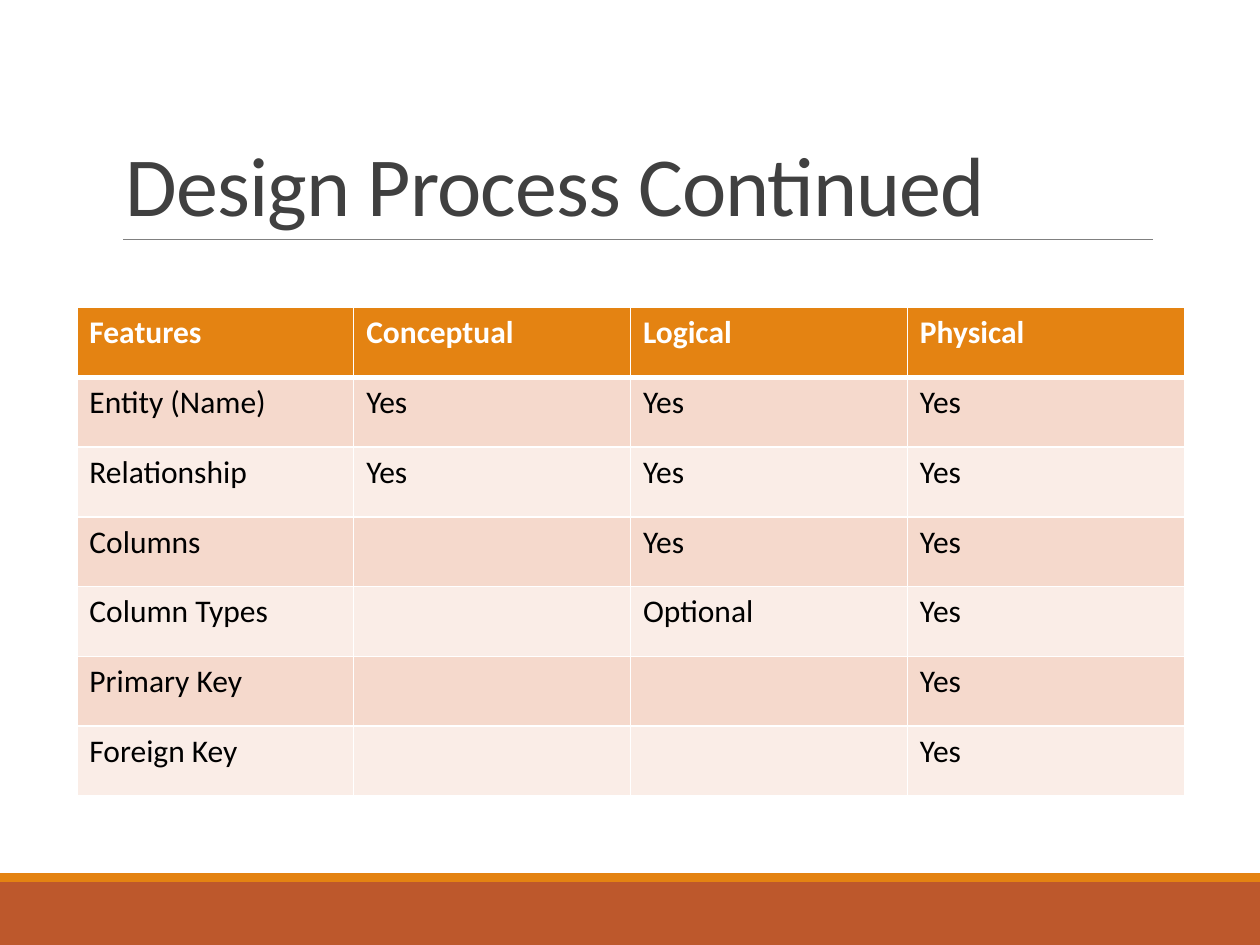
from lxml.etree import SubElement
from pptx import Presentation
from pptx.dml.color import RGBColor
from pptx.enum.shapes import MSO_CONNECTOR as CONN, MSO_SHAPE as SHAPE
from pptx.enum.text import MSO_ANCHOR as ANCHOR
from pptx.oxml.ns import qn
from pptx.util import Inches, Pt

FONT = "Calibri"
COLORS = {
    "orange": "E48312",
    "rust": "BD582C",
    "rule": "808080",
    "title": "404040",
    "white": "FFFFFF",
    "black": "000000",
    "band_dark": "F5D9CC",
    "band_light": "FAEDE7",
}
ROWS = [
    ("Features", "Conceptual", "Logical", "Physical"),
    ("Entity (Name)", "Yes", "Yes", "Yes"),
    ("Relationship", "Yes", "Yes", "Yes"),
    ("Columns", "", "Yes", "Yes"),
    ("Column Types", "", "Optional", "Yes"),
    ("Primary Key", "", "", "Yes"),
    ("Foreign Key", "", "", "Yes"),
]


def rgb(name):
    return RGBColor.from_string(COLORS[name])


def style_text(p, size, color, bold=False):
    for r in p.runs:
        r.font.name = FONT
        r.font.size = Pt(size)
        r.font.bold = bold
        r.font.color.rgb = rgb(color)


def add_band(slide, top, height, color):
    sp = slide.shapes.add_shape(SHAPE.RECTANGLE, 0, Inches(top), Inches(10), Inches(height))
    sp.shadow.inherit = False
    sp.fill.solid()
    sp.fill.fore_color.rgb = rgb(color)
    sp.line.fill.background()


def add_rule(slide, left, right, y):
    line = slide.shapes.add_connector(
        CONN.STRAIGHT, Inches(left), Inches(y), Inches(right), Inches(y))
    line.line.color.rgb = rgb("rule")
    line.line.width = Pt(0.5)
    SubElement(line._element.spPr, qn("a:effectLst"))


def add_title(slide, text):
    sp = slide.shapes.add_textbox(Inches(0.9), Inches(0.31), Inches(8.25), Inches(1.59))
    tf = sp.text_frame
    tf.word_wrap = True
    tf.vertical_anchor = ANCHOR.BOTTOM
    tf.text = text
    p = tf.paragraphs[0]
    p.line_spacing = 0.85
    style_text(p, 48, "title")
    p.runs[0].font._element.set("spc", "-50")


def set_borders(cell, top, bottom):
    tc_pr = cell._tc.get_or_add_tcPr()
    for side, width in (("L", 1), ("R", 1), ("T", top), ("B", bottom)):
        ln = SubElement(tc_pr, qn(f"a:ln{side}"), w=str(Pt(width)))
        fill = SubElement(ln, qn("a:solidFill"))
        SubElement(fill, qn("a:srgbClr"), val=COLORS["white"])


def add_feature_table(slide):
    width, height = Inches(8.79), Inches(3.88)
    n_rows, n_cols = len(ROWS), len(ROWS[0])
    table = slide.shapes.add_table(
        n_rows, n_cols, Inches(0.61), Inches(2.44), width, height).table
    for col in table.columns:
        col.width = width // n_cols
    for i, values in enumerate(ROWS):
        table.rows[i].height = height // n_rows
        header = i == 0
        fill = "orange" if header else ("band_light", "band_dark")[i % 2]
        for j, value in enumerate(values):
            cell = table.cell(i, j)
            set_borders(cell, 3 if i == 1 else 1, 3 if header else 1)
            cell.fill.solid()
            cell.fill.fore_color.rgb = rgb(fill)
            cell.text_frame.text = value
            style_text(cell.text_frame.paragraphs[0], 18,
                       "white" if header else "black", header)


def main():
    prs = Presentation()
    prs.slide_width, prs.slide_height = Inches(10), Inches(7.5)
    slide = prs.slides.add_slide(prs.slide_layouts[6])
    add_band(slide, 7, 0.5, "rust")
    add_band(slide, 6.93, 0.07, "orange")
    add_rule(slide, 0.98, 9.15, 1.9)
    add_title(slide, "Design Process Continued")
    add_feature_table(slide)
    prs.save("out.pptx")


if __name__ == "__main__":
    main()
